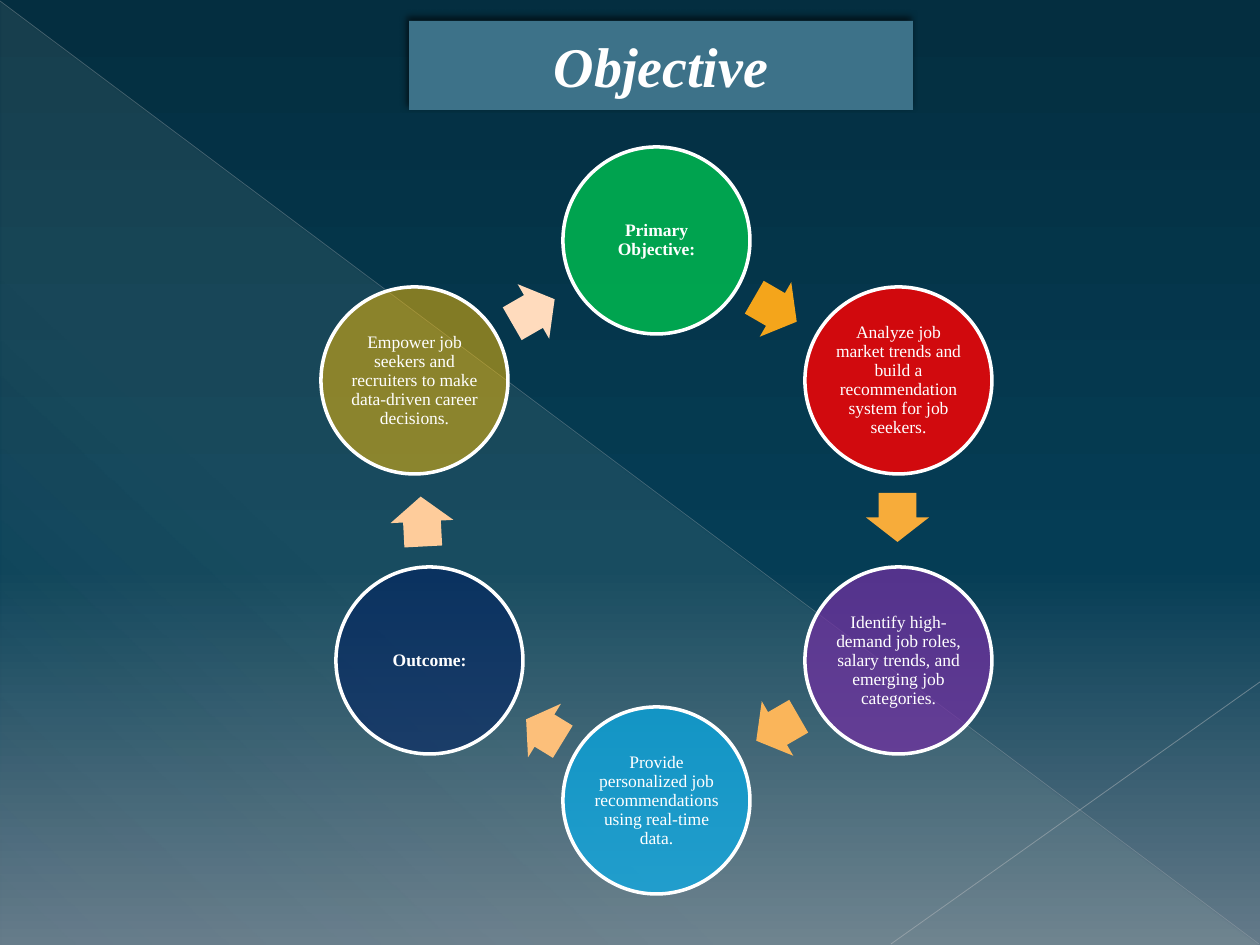
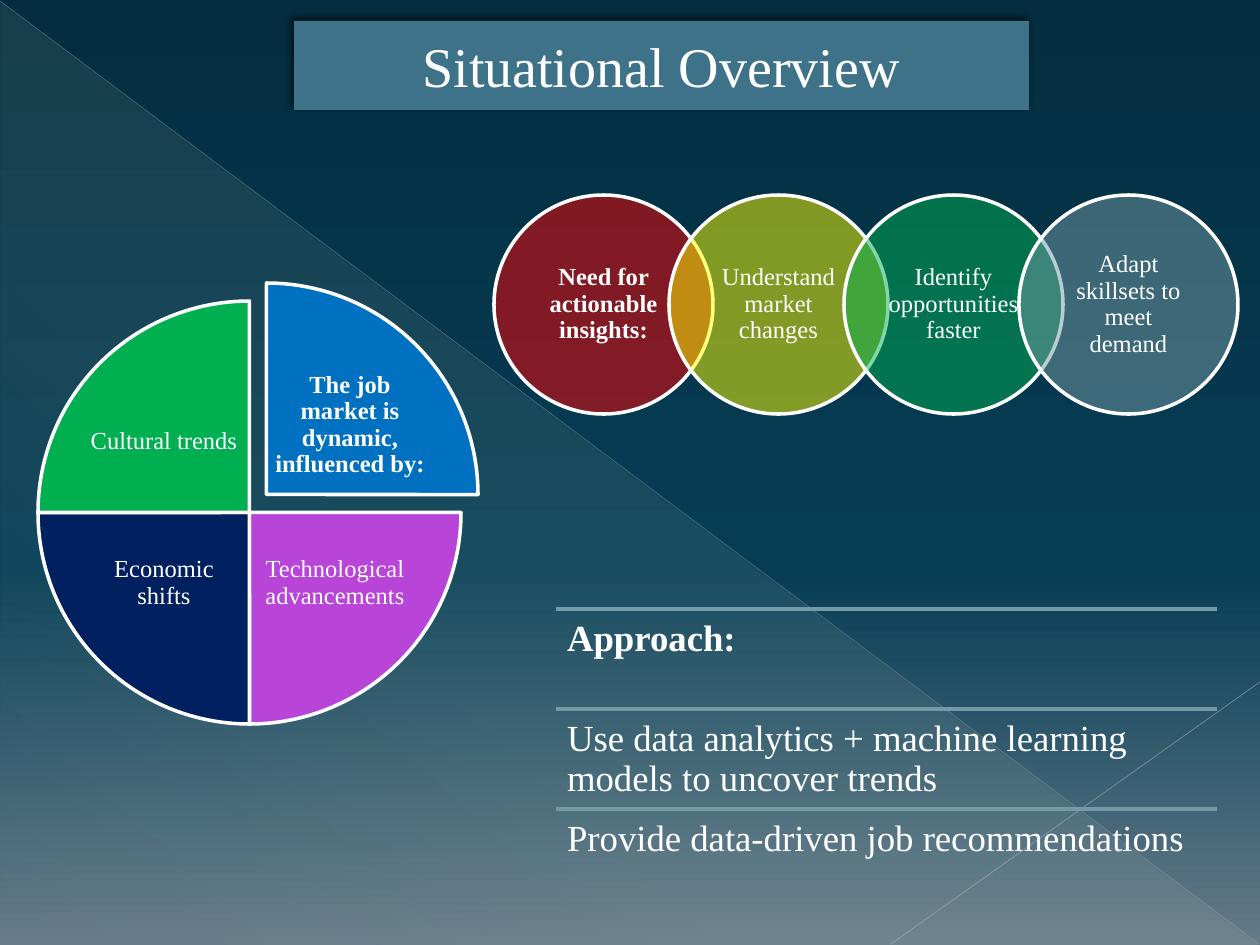
from copy import deepcopy
from math import cos, radians, sin

from lxml.etree import SubElement
from pptx import Presentation
from pptx.dml.color import RGBColor
from pptx.enum.shapes import MSO_CONNECTOR, MSO_SHAPE
from pptx.enum.text import MSO_ANCHOR, MSO_AUTO_SIZE, PP_ALIGN
from pptx.oxml.ns import qn
from pptx.util import Pt

PX = 7257
FONT = "Times New Roman"
WHITE = "FFFFFF"
STEEL = "759AA5"
ELLIPSE, ARROW, PIE = MSO_SHAPE.OVAL, MSO_SHAPE.RIGHT_ARROW, MSO_SHAPE.PIE
TRIANGLE, STRAIGHT = MSO_SHAPE.RIGHT_TRIANGLE, MSO_CONNECTOR.STRAIGHT
LEFT, CENTER = PP_ALIGN.LEFT, PP_ALIGN.CENTER
TOP, MIDDLE = MSO_ANCHOR.TOP, MSO_ANCHOR.MIDDLE


def paint(fill, color, alpha=100):
    fill.solid()
    fill.fore_color.rgb = RGBColor.from_string(color)
    if alpha < 100:
        color_element = fill._xPr.find(".//" + qn("a:srgbClr"))
        SubElement(color_element, qn("a:alpha"), val=str(alpha * 1000))


def write(shape, text, size, bold=False, italic=False, align=CENTER, anchor=MIDDLE,
          inset=(1, 1), spacing=0.9):
    frame = shape.text_frame
    frame.word_wrap = True
    frame.auto_size = MSO_AUTO_SIZE.NONE
    frame.vertical_anchor = anchor
    frame.margin_left = frame.margin_right = inset[0] * PX
    frame.margin_top = frame.margin_bottom = inset[1] * PX
    paragraph = frame.paragraphs[0]
    paragraph.alignment = align
    paragraph.line_spacing = spacing
    run = paragraph.add_run()
    run.text = text
    run.font.name = FONT
    run.font.size = Pt(size)
    run.font.bold = bold
    run.font.italic = italic
    paint(run.font.fill, WHITE)


presentation = Presentation()
presentation.slide_width = 1260 * PX
presentation.slide_height = 945 * PX
layout = presentation.slide_layouts[5]
for placeholder in list(layout.placeholders)[1:]:
    placeholder._element.getparent().remove(placeholder._element)
objective = presentation.slides.add_slide(layout)
overview = presentation.slides.add_slide(layout)

# Shared backdrop
triangle = objective.shapes.add_shape(TRIANGLE, 1 * PX, 2 * PX, 1258 * PX, 943 * PX)
triangle.shadow.inherit = False
triangle.line.fill.background()
gradients = [
    (layout.background.fill, 90,
     [(0, "042E40", 100), (60, "053D55", 100), (100, "647A89", 100)]),
    (triangle.fill, 133,
     [(0, "DFE6D0", 10), (70, "DFE6D0", 8), (100, "DFE6D0", 1)]),
]
for fill, angle, stops in gradients:
    fill.gradient()
    fill.gradient_angle = 360 - angle
    stop_list = fill._xPr.find(".//" + qn("a:gsLst"))
    stop_list.append(deepcopy(stop_list[0]))
    for element, stop, (position, color, alpha) in zip(stop_list, fill.gradient_stops, stops):
        stop.position = position / 100
        stop.color.rgb = RGBColor.from_string(color)
        SubElement(element[0], qn("a:alpha"), val=str(alpha * 1000))
layout.shapes._spTree.append(triangle._element)

rules = [
    (objective, (0, 1), (1259, 944), "B3B7BA", 0.39, 35),
    (objective, (1260, 682), (891, 944), "BCBFC2", 0.47, 45),
]
rules += [(overview, (556, y), (1217, y), STEEL, 2, 100) for y in (609, 709, 809)]
for slide, (x1, y1), (x2, y2), color, width, alpha in rules:
    connector = slide.shapes.add_connector(STRAIGHT, x1 * PX, y1 * PX, x2 * PX, y2 * PX)
    connector.line.width = Pt(width)
    paint(connector.line.fill, color, alpha)
    SubElement(connector._element.spPr, qn("a:effectLst"))
    if slide is objective:
        layout.shapes._spTree.append(connector._element)

# Title bands
titles = [(objective, "Objective", 409, 504, True),
          (overview, "Situational Overview", 294, 735, False)]
for slide, text, left, width, emphasis in titles:
    title = slide.shapes.title
    title.left, title.top, title.width, title.height = left * PX, 21 * PX, width * PX, 89 * PX
    properties = title._element.spPr
    geometry = SubElement(properties, qn("a:prstGeom"), prst="flowChartAlternateProcess")
    SubElement(geometry, qn("a:avLst"))
    paint(title.fill, "3D7289")
    title.line.fill.background()
    title.shadow.inherit = False
    shadow = SubElement(properties.find(qn("a:effectLst")), qn("a:outerShdw"),
                        blurRad="50800", dist="38100", dir=str(245 * 60000))
    shadow_color = SubElement(shadow, qn("a:srgbClr"), val="000000")
    SubElement(shadow_color, qn("a:alpha"), val="60000")
    write(title, text, 32, emphasis, emphasis, spacing=1)

# Objective cycle
figures = []
labels = []
steps = [
    ("Primary Objective:", "00B050", 90, True, 0),
    ("Analyze job market trends and build a recommendation system for job seekers.",
     "FF0000", 82, False, 0),
    ("Identify high-demand job roles, salary trends, and emerging job categories.",
     "7030A0", 74, False, 0),
    ("Provide personalized job recommendations using real-time data.",
     "00B0F0", 66, False, 0),
    ("Outcome:", "002060", 58, True, 15),
    ("Empower job seekers and recruiters to make data-driven career decisions.",
     "FFC000", 50, False, 0),
]
for index, (text, color, alpha, bold, nudge) in enumerate(steps):
    angle = radians(60 * index)
    left = round(656 + 280 * sin(angle)) - 93 + nudge
    top = round(520 - 280 * cos(angle)) - 93
    figures.append((objective, ELLIPSE, (left, top, 187, 187), color, alpha, (), 0))
    labels.append((objective, (left + 28, top + 28, 131, 131), text, 10, bold,
                   CENTER, MIDDLE, (1, 1)))

arrows = [
    (751, 278, 49, 30, "F4A51B"), (873, 486, 49, 90, "F7AC3A"),
    (753, 697, 49, 150, "FAB55A"), (523, 699, 43, 211.5, "FCBF7A"),
    (397, 490, 50, 267, "FECC9B"), (509, 280, 49, 330, "FFDBBD"),
]
for left, top, width, rotation, color in arrows:
    figures.append((objective, ARROW, (left, top, width, 63), color, 100, (0.6, 0.5), rotation))

# Market influences
slices = [
    ("The job market is dynamic, influenced by:", "0070C0", (55, 283), (272, 362), (162, 0)),
    ("Technological advancements", "B844D8", (38, 301), (257, 520), (0, 54)),
    ("Economic shifts", "002060", (38, 301), (86, 520), (54, 108)),
    ("Cultural trends", "00B050", (38, 301), (86, 379), (108, 162)),
]
for index, (text, color, corner, label_corner, angles) in enumerate(slices):
    figures.append((overview, PIE, (*corner, 423, 423), color, 100, angles, 0))
    labels.append((overview, (*label_corner, 156, 126), text, 14, index == 0,
                   CENTER, MIDDLE, (2, 2)))

# Actionable insights
insights = [
    ("Need for actionable insights:", "FF0000"),
    ("Understand market changes", "FFFF00"),
    ("Identify opportunities faster", "00B050"),
    ("Adapt skillsets to meet demand", STEEL),
]
for index, (text, color) in enumerate(insights):
    left = 494 + 175 * index
    figures.append((overview, ELLIPSE, (left, 195, 219, 219), color, 50, (), 0))
    labels.append((overview, (left + 32, 227, 155, 155), text, 14, index == 0,
                   CENTER, MIDDLE, (12, 2)))

# Approach
approach = ["Approach:", "Use data analytics + machine learning models to uncover trends",
            "Provide data-driven job recommendations"]
for index, text in enumerate(approach):
    labels.append((overview, (556, 609 + 100 * index, 661, 100), text, 21, index == 0,
                   LEFT, TOP, (11, 11)))

for slide, preset, box, color, alpha, adjustments, rotation in figures:
    shape = slide.shapes.add_shape(preset, *[length * PX for length in box])
    shape.shadow.inherit = False
    shape.rotation = rotation
    for index, value in enumerate(adjustments):
        shape.adjustments[index] = value
    paint(shape.fill, color, alpha)
    if preset == ARROW:
        shape.line.fill.background()
    else:
        paint(shape.line.fill, WHITE)
        shape.line.width = Pt(2)

for slide, box, text, size, bold, align, anchor, inset in labels:
    text_box = slide.shapes.add_textbox(*[length * PX for length in box])
    write(text_box, text, size, bold, align=align, anchor=anchor, inset=inset)

presentation.save("out.pptx")
